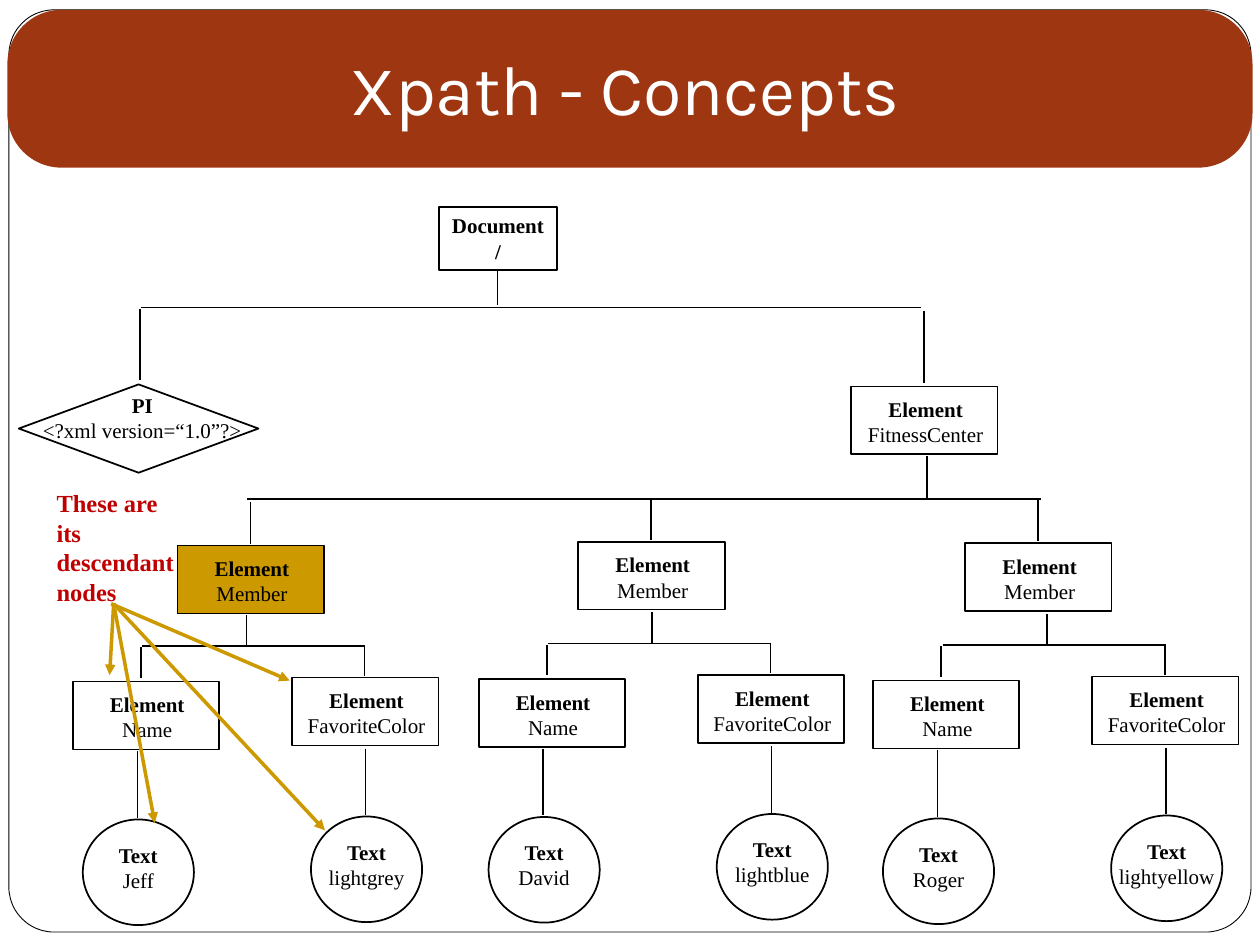
import pptx
import pptx.util
from pptx.dml.color import RGBColor
from pptx.enum.shapes import MSO_CONNECTOR, MSO_SHAPE
from pptx.enum.text import MSO_ANCHOR, MSO_AUTO_SIZE, PP_ALIGN
from pptx.oxml.xmlchemy import OxmlElement

Cm, Pt = pptx.util.Cm, pptx.util.Pt

BLACK = RGBColor(0x00, 0x00, 0x00)
WHITE = RGBColor(0xFF, 0xFF, 0xFF)
RUST = RGBColor(0x9E, 0x36, 0x11)
GOLD = RGBColor(0xCC, 0x99, 0x00)
RED = RGBColor(0xC0, 0x00, 0x00)

BOX_W, BOX_H = 2.95, 1.37
CIRCLE_W, CIRCLE_H = 2.24, 2.13


def set_text(tf, text, size=12, font="Times New Roman", color=BLACK,
             bold=True, bold_rest=False, align=PP_ALIGN.CENTER, wrap=False):
    """Write one paragraph per line; bold_rest applies after the first line."""
    tf.word_wrap = wrap
    tf.auto_size = MSO_AUTO_SIZE.SHAPE_TO_FIT_TEXT
    tf.vertical_anchor = MSO_ANCHOR.TOP
    for i, line in enumerate(text.split("\n")):
        p = tf.add_paragraph() if i else tf.paragraphs[0]
        p.alignment = align
        r = p.add_run()
        r.text = line
        r.font.name = font
        r.font.size = Pt(size)
        r.font.color.rgb = color
        r.font.bold = bold_rest if i else bold


class TreeSlide:
    """Draws on one slide; all lengths are centimetres."""

    def __init__(self, s, ink=BLACK, weight=1):
        self.s = s
        self.ink = ink
        self.weight = weight

    def shape(self, kind, x, y, w, h, fill=WHITE, weight=None, adj=None):
        """A weight of 0 leaves out the outline; a fill of None is no fill."""
        sp = self.s.shapes.add_shape(kind, Cm(x), Cm(y), Cm(w), Cm(h))
        sp.shadow.inherit = False
        if fill is None:
            sp.fill.background()
        else:
            sp.fill.solid()
            sp.fill.fore_color.rgb = fill
        if weight == 0:
            sp.line.fill.background()
        else:
            sp.line.color.rgb = self.ink
            sp.line.width = Pt(weight or self.weight)
        if adj is not None:
            sp.adjustments[0] = adj
        return sp

    def text(self, x, y, w, h, text, **fmt):
        tb = self.s.shapes.add_textbox(Cm(x), Cm(y), Cm(w), Cm(h))
        set_text(tb.text_frame, text, **fmt)

    def label(self, center, y, w, text):
        self.text(center - w / 2, y, w, 1.27, text)

    def line(self, x1, y1, x2, y2, color=None, weight=None, arrow=False):
        c = self.s.shapes.add_connector(MSO_CONNECTOR.STRAIGHT,
                                        Cm(x1), Cm(y1), Cm(x2), Cm(y2))
        c.line.color.rgb = color or self.ink
        c.line.width = Pt(weight or self.weight)
        if arrow:
            end = OxmlElement("a:tailEnd")
            end.set("type", "triangle")
            c.line._get_or_add_ln().append(end)
        c._element.spPr.append(OxmlElement("a:effectLst"))

    def element(self, x, y, name, w=2.1, fill=WHITE):
        self.shape(MSO_SHAPE.RECTANGLE, x, y, BOX_W, BOX_H, fill)
        self.label(x + 1.5, y + 0.08, w, "Element\n" + name)

    def value(self, x, y, text, w):
        self.shape(MSO_SHAPE.OVAL, x, y, CIRCLE_W, CIRCLE_H)
        self.label(x + CIRCLE_W / 2, y + 0.33, w, "Text\n" + text)

    def member_children(self, x, y, name, name_w, color, color_w):
        """Name and FavoriteColor branches; x, y is the corner of the Name box."""
        self.line(x + 3.5, y - 1.35, x + 3.5, y - 0.7)
        self.line(x + 1.4, y - 0.72, x + 5.87, y - 0.72)
        self.line(x + 1.37, y - 0.69, x + 1.37, y - 0.08)
        self.line(x + 5.88, y - 0.73, x + 5.88, y - 0.12)
        self.element(x, y, "Name")
        self.element(x + 4.42, y - 0.08, "FavoriteColor", 3.05)
        self.line(x + 1.3, y + 1.4, x + 1.3, y + 2.74)
        self.line(x + 5.9, y + 1.35, x + 5.9, y + 2.69)
        self.value(x + 0.2, y + 2.78, name, name_w)
        self.value(x + 4.8, y + 2.72, color, color_w)


def main():
    prs = pptx.Presentation()
    prs.slide_width, prs.slide_height = Cm(25.4), Cm(19.05)
    t = TreeSlide(prs.slides.add_slide(prs.slide_layouts[6]))

    t.shape(MSO_SHAPE.ROUNDED_RECTANGLE, 0.18, 0.2, 25.04, 18.59,
            weight=0.5, adj=0.049)
    t.shape(MSO_SHAPE.ROUNDED_RECTANGLE, 0.15, 0.2, 25.1, 3.18,
            fill=RUST, weight=0, adj=0.343)
    t.text(6.81, 0.79, 11.68, 1.96, "Xpath - Concepts", size=40, font="Karla",
           color=WHITE, bold=False, align=PP_ALIGN.LEFT)

    # Document root and its two children
    root = t.shape(MSO_SHAPE.RECTANGLE, 8.85, 4.17, 2.38, 1.27, fill=None)
    set_text(root.text_frame, "Document\n/", bold_rest=True)
    t.line(10.03, 5.44, 10.03, 6.15, weight=0.75)
    t.line(2.84, 6.2, 18.57, 6.2)
    t.line(2.82, 6.22, 2.82, 7.67)
    t.line(18.62, 6.27, 18.62, 7.72)
    t.shape(MSO_SHAPE.DIAMOND, 0.38, 7.75, 4.83, 1.78)
    t.label(2.87, 7.79, 4.65, "PI\n<?xml version=“1.0”?>")
    t.element(17.16, 7.79, "FitnessCenter", 3.05)

    # Members
    t.line(18.69, 9.2, 18.69, 10.06)
    t.line(4.98, 10.06, 20.98, 10.06)
    for x, y, fill in ((3.58, 11, GOLD), (11.66, 10.92, WHITE),
                       (19.46, 10.95, WHITE)):
        t.line(x + 1.47, y - 0.88, x + 1.47, y - 0.04)
        t.element(x, y, "Member", fill=fill)
    for branch in ((1.47, 13.74, "Jeff", 1.45, "lightgrey", 2.15),
                   (9.65, 13.69, "David", 1.65, "lightblue", 2.15),
                   (17.6, 13.72, "Roger", 1.65, "lightyellow", 2.55)):
        t.member_children(*branch)

    # Descendants of the highlighted member
    t.text(0.89, 9.72, 2.9, 2.64, "These are its descendant nodes", size=14,
           color=RED, align=PP_ALIGN.LEFT, wrap=True)
    for ends in ((2.29, 12.19, 2.21, 13.61), (2.24, 12.17, 5.84, 13.72),
                 (2.29, 12.17, 6.55, 16.74), (2.31, 12.27, 3.12, 16.59)):
        t.line(*ends, color=GOLD, weight=2, arrow=True)

    prs.save("out.pptx")


if __name__ == "__main__":
    main()
